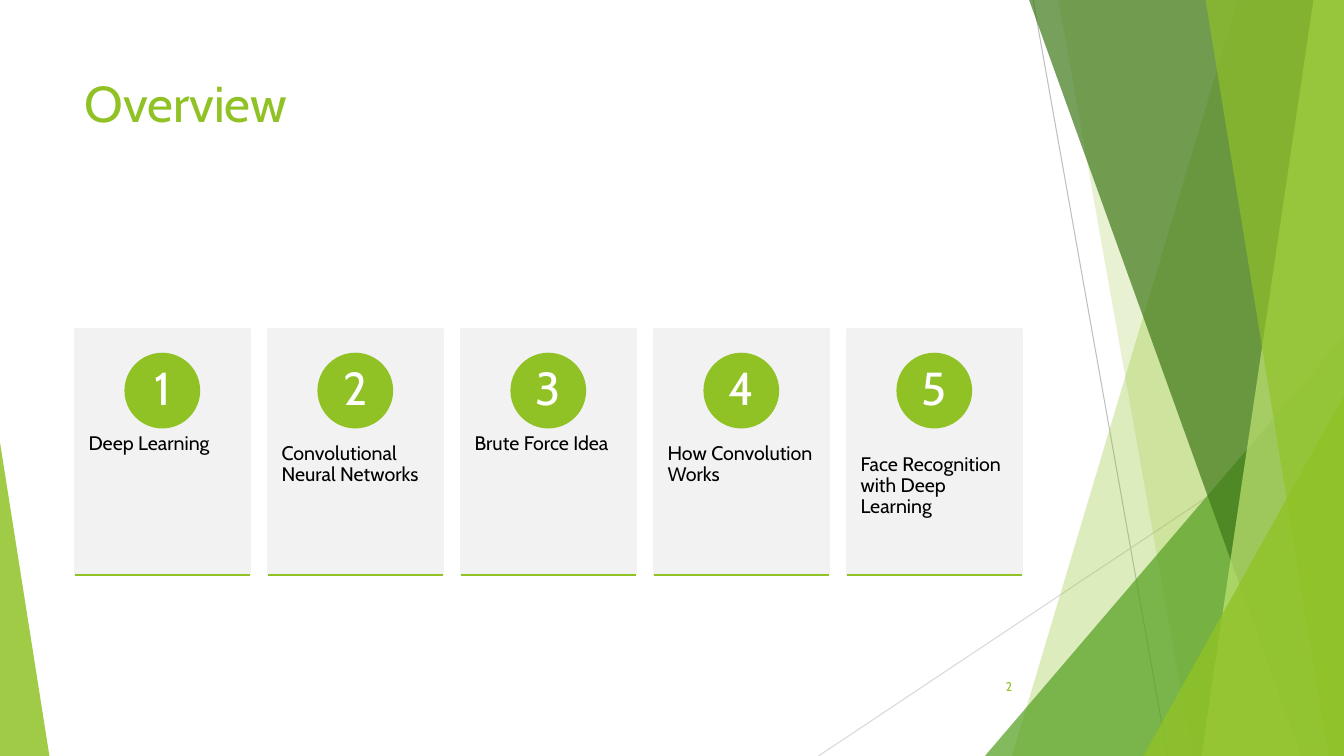
from dataclasses import dataclass

from lxml.etree import SubElement
from pptx import Presentation
from pptx.dml.color import RGBColor
from pptx.enum.shapes import MSO_CONNECTOR as Connector, MSO_SHAPE as Shape
from pptx.enum.text import MSO_ANCHOR as Anchor, PP_ALIGN as Align
from pptx.oxml.ns import qn
from pptx.util import Pt


@dataclass(frozen=True)
class Theme:
    font: str = "Cabin"
    lime: str = "90C226"
    green: str = "54A021"
    forest: str = "3F7819"
    pale: str = "C0E474"
    card: str = "F2F2F2"
    ink: str = "000000"
    white: str = "FFFFFF"
    gray: str = "BFBFBF"
    light_gray: str = "D9D9D9"
    title_size: float = 36
    number_size: float = 33
    label_size: float = 14
    page_size: float = 9


THEME = Theme()
WIDTH, HEIGHT = 960, 540

TITLE = "Overview"
PAGE_NUMBER = "2"
TOPICS = [
    "Deep Learning",
    "Convolutional Neural Networks",
    "Brute Force Idea",
    "How Convolution Works",
    "Face Recognition with Deep Learning",
]

# start, end, colour
RAYS = [
    ((738, 0), (834, HEIGHT), THEME.gray),
    ((WIDTH, 290), (584.6, HEIGHT), THEME.light_gray),
]
# Bands run from the top edge to the bottom edge and end at the right side:
# top x, bottom x, colour, opacity in percent.
# Triangles stand on the bottom edge: left, top, width, apex (0 left, 1 right),
# colour, opacity in percent.
FACETS = [
    ("band", 884.2, 722.9, THEME.lime, 30),
    ("band", 756, 851.8, THEME.lime, 20),
    ("triangle", 703.5, 240, 256.5, 1, THEME.green, 72),
    ("band", 735.1, 929.5, THEME.forest, 70),
    ("band", 938.2, 858.2, THEME.pale, 70),
    ("band", 861.1, 949, THEME.lime, 65),
    ("triangle", 816.7, 283, 143.3, 1, THEME.lime, 80),
    ("triangle", 0, 316, 35.3, 0, THEME.lime, 85),
]

CARD_LEFT, CARD_TOP, CARD_WIDTH, CARD_HEIGHT = 53.3, 235.4, 125.3, 175.4
CARD_PITCH = 137.86
CIRCLE, CIRCLE_DROP = 52.6, 17.3
LABEL_DROP, LABEL_HEIGHT = 66.4, 105
LABEL_INSETS = (10, 26, 10, 26)


def color(code):
    return RGBColor.from_string(code)


def paint(shape, fill, opacity=100, outline=None):
    shape.shadow.inherit = False
    shape.fill.solid()
    shape.fill.fore_color.rgb = color(fill)
    if opacity < 100:
        tint = shape.fill._xPr.find(qn("a:solidFill"))[0]
        SubElement(tint, qn("a:alpha"), val=str(opacity * 1000))
    if outline:
        shape.line.color.rgb = color(outline)
        shape.line.width = Pt(1.5)
    else:
        shape.line.fill.background()


def add_preset(page, kind, left, top, width, height):
    return page.shapes.add_shape(kind, Pt(left), Pt(top), Pt(width), Pt(height))


def add_line(page, start, end, tint, weight):
    line = page.shapes.add_connector(
        Connector.STRAIGHT, *(Pt(value) for value in (*start, *end)))
    line.line.color.rgb = color(tint)
    line.line.width = Pt(weight)
    SubElement(line._element.spPr, qn("a:effectLst"))


def add_band(page, top_x, bottom_x, fill, opacity):
    outline = page.shapes.build_freeform(Pt(top_x), Pt(0))
    corners = [(WIDTH, 0), (WIDTH, HEIGHT), (bottom_x, HEIGHT)]
    outline.add_line_segments([(Pt(x), Pt(y)) for x, y in corners])
    paint(outline.convert_to_shape(), fill, opacity)


def add_triangle(page, left, top, width, apex, fill, opacity):
    triangle = add_preset(page, Shape.ISOSCELES_TRIANGLE,
                          left, top, width, HEIGHT - top)
    triangle.adjustments[0] = apex
    paint(triangle, fill, opacity)


def write(shape, text, size, tint, align=Align.LEFT, anchor=Anchor.TOP,
          insets=(7.2, 3.6, 7.2, 3.6), spacing=1.0):
    frame = shape.text_frame
    frame.word_wrap = True
    frame.vertical_anchor = anchor
    (frame.margin_left, frame.margin_top,
     frame.margin_right, frame.margin_bottom) = map(Pt, insets)
    para = frame.paragraphs[0]
    para.alignment = align
    para.line_spacing = spacing
    span = para.add_run()
    span.text = text
    span.font.name = THEME.font
    span.font.size = Pt(size)
    span.font.color.rgb = color(tint)


def add_text(page, left, top, width, height, text, size, tint, **layout):
    box = page.shapes.add_textbox(Pt(left), Pt(top), Pt(width), Pt(height))
    write(box, text, size, tint, **layout)


def add_card(page, left, number, topic):
    card = add_preset(page, Shape.RECTANGLE,
                      left, CARD_TOP, CARD_WIDTH, CARD_HEIGHT)
    paint(card, THEME.card, outline=THEME.card)
    add_text(page, left, CARD_TOP + LABEL_DROP, CARD_WIDTH, LABEL_HEIGHT,
             topic, THEME.label_size, THEME.ink,
             insets=LABEL_INSETS, spacing=0.9)
    circle = add_preset(page, Shape.OVAL, left + (CARD_WIDTH - CIRCLE) / 2,
                        CARD_TOP + CIRCLE_DROP, CIRCLE, CIRCLE)
    paint(circle, THEME.lime, outline=THEME.lime)
    write(circle, str(number), THEME.number_size, THEME.white,
          align=Align.CENTER, anchor=Anchor.MIDDLE,
          insets=(4, 1, 4, 1), spacing=0.9)
    bottom = CARD_TOP + CARD_HEIGHT
    add_line(page, (left, bottom), (left + CARD_WIDTH, bottom), THEME.lime, 1.5)


def main():
    deck = Presentation()
    deck.slide_width, deck.slide_height = Pt(WIDTH), Pt(HEIGHT)
    page = deck.slides.add_slide(deck.slide_layouts[6])

    for start, end, tint in RAYS:
        add_line(page, start, end, tint, 0.75)
    draw = {"band": add_band, "triangle": add_triangle}
    for kind, *facet in FACETS:
        draw[kind](page, *facet)

    add_text(page, 53.3, 48, 676.8, 104, TITLE, THEME.title_size, THEME.lime)
    for index, topic in enumerate(TOPICS):
        add_card(page, CARD_LEFT + index * CARD_PITCH, index + 1, topic)
    add_text(page, 676, 476, 54, 28.8, PAGE_NUMBER, THEME.page_size, THEME.lime,
             align=Align.RIGHT, anchor=Anchor.MIDDLE)

    deck.save("out.pptx")


if __name__ == "__main__":
    main()
